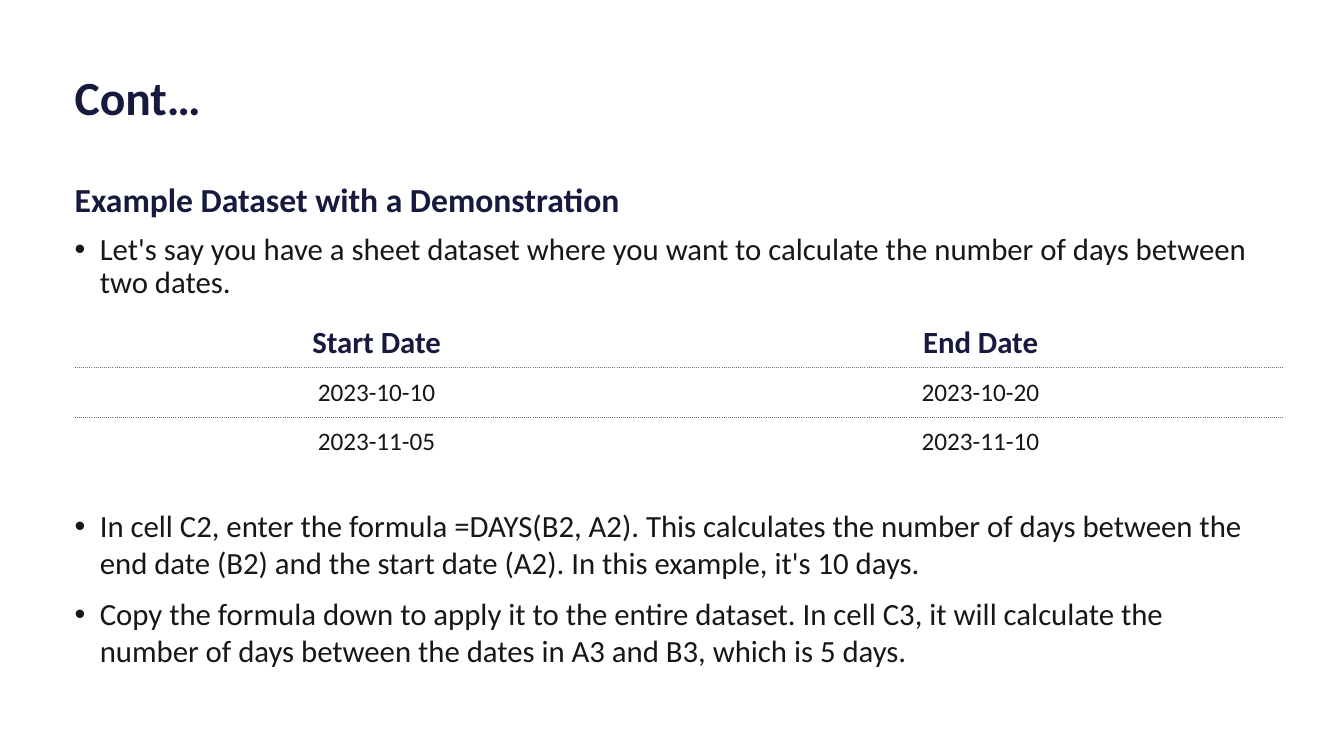
"""Build a slide that shows a date-difference example with a small table."""
import pptx
import pptx.dml.color
import pptx.enum.text
import pptx.oxml
import pptx.oxml.ns
import pptx.util

Inches, Pt = pptx.util.Inches, pptx.util.Pt
ALIGN, ANCHOR = pptx.enum.text.PP_ALIGN, pptx.enum.text.MSO_ANCHOR

COLORS = {"navy": "161A3E", "ink": "181717", "rule": "767171"}
FONT = "Calibri"
LEFT, WIDTH = 0.74, 11.85
TABLE_TOP, COL_W, ROW_H = 3.16, 5.99, 0.49
NO_GRID = "{2D5ABB26-0587-4C30-8999-92F81FD0307C}"

HEAD = {"size": 24, "color": "navy", "bold": True}
BODY = {"size": 22, "color": "ink", "bold": False}
TITLE = {"size": 34, "color": "navy", "bold": True}
TABLE_HEAD = {"size": 22, "color": "navy", "bold": True}
TABLE_BODY = {"size": 18, "color": "ink", "bold": False}

BOXES = [
    {"top": 0.66, "height": 0.67, "anchor": ANCHOR.MIDDLE, "spacing": 0.9,
     "lines": [("Cont…", TITLE, False)]},
    {"top": 1.82, "height": 1.2, "anchor": ANCHOR.TOP, "spacing": 0.9,
     "lines": [
         ("Example Dataset with a Demonstration", HEAD, False),
         ("Let's say you have a sheet dataset where you want to calculate "
          "the number of days between two dates.", BODY, True)]},
    {"top": 5.03, "height": 1.6, "anchor": ANCHOR.TOP, "spacing": 1.0,
     "lines": [
         ("In cell C2, enter the formula =DAYS(B2, A2). This calculates the "
          "number of days between the end date (B2) and the start date (A2). "
          "In this example, it's 10 days.", BODY, True),
         ("Copy the formula down to apply it to the entire dataset. In cell "
          "C3, it will calculate the number of days between the dates in A3 "
          "and B3, which is 5 days.", BODY, True)]},
]

DATES = [
    ("Start Date", "End Date"),
    ("2023-10-10", "2023-10-20"),
    ("2023-11-05", "2023-11-10"),
]


def add_run(p, text, style):
    r = p.add_run()
    r.text = text
    r.font.name = FONT
    r.font.size = Pt(style["size"])
    r.font.bold = style["bold"]
    r.font.color.rgb = pptx.dml.color.RGBColor.from_string(COLORS[style["color"]])


def add_bullet(p):
    pPr = p._p.get_or_add_pPr()
    pPr.set("marL", str(Inches(0.25)))
    pPr.set("indent", str(Inches(-0.25)))
    for tag, key, value in (("buFont", "typeface", "Arial"), ("buChar", "char", "•")):
        pPr.append(pptx.oxml.parse_xml(
            f'<a:{tag} {pptx.oxml.ns.nsdecls("a")} {key}="{value}"/>'))


def add_text(s, box):
    tb = s.shapes.add_textbox(Inches(LEFT), Inches(box["top"]),
                              Inches(WIDTH), Inches(box["height"]))
    tf = tb.text_frame
    tf.word_wrap = True
    tf.vertical_anchor = box["anchor"]
    tf.margin_left = tf.margin_right = tf.margin_top = tf.margin_bottom = 0
    for i, (text, style, bulleted) in enumerate(box["lines"]):
        p = tf.add_paragraph() if i else tf.paragraphs[0]
        if bulleted:
            add_bullet(p)
        p.line_spacing = box["spacing"]
        p.space_before = Pt(10 if i else 0)
        add_run(p, text, style)


def add_rule(cell, position, side):
    cell._tc.get_or_add_tcPr().insert(position, pptx.oxml.parse_xml(
        f'<a:{side} {pptx.oxml.ns.nsdecls("a")} w="{Pt(1)}"><a:solidFill>'
        f'<a:srgbClr val="{COLORS["rule"]}"/></a:solidFill>'
        f'<a:prstDash val="sysDot"/></a:{side}>'))


def add_dates(s):
    rows, cols = len(DATES), len(DATES[0])
    table = s.shapes.add_table(rows, cols, Inches(LEFT), Inches(TABLE_TOP),
                               Inches(COL_W * cols), Inches(ROW_H * rows)).table
    table.horz_banding = False
    table._tbl.tblPr.find(pptx.oxml.ns.qn("a:tableStyleId")).text = NO_GRID
    for i, row in enumerate(DATES):
        for j, text in enumerate(row):
            cell = table.cell(i, j)
            cell.fill.background()
            cell.vertical_anchor = ANCHOR.MIDDLE
            sides = ["lnT"] * (i > 0) + ["lnB"] * (i < rows - 1)
            for position, side in enumerate(sides):
                add_rule(cell, position, side)
            p = cell.text_frame.paragraphs[0]
            p.alignment = ALIGN.CENTER
            add_run(p, text, TABLE_BODY if i else TABLE_HEAD)


def main():
    prs = pptx.Presentation()
    prs.slide_width, prs.slide_height = Inches(13.33), Inches(7.5)
    s = prs.slides.add_slide(prs.slide_layouts[6])
    for box in BOXES:
        add_text(s, box)
    add_dates(s)
    prs.save("out.pptx")


if __name__ == "__main__":
    main()
